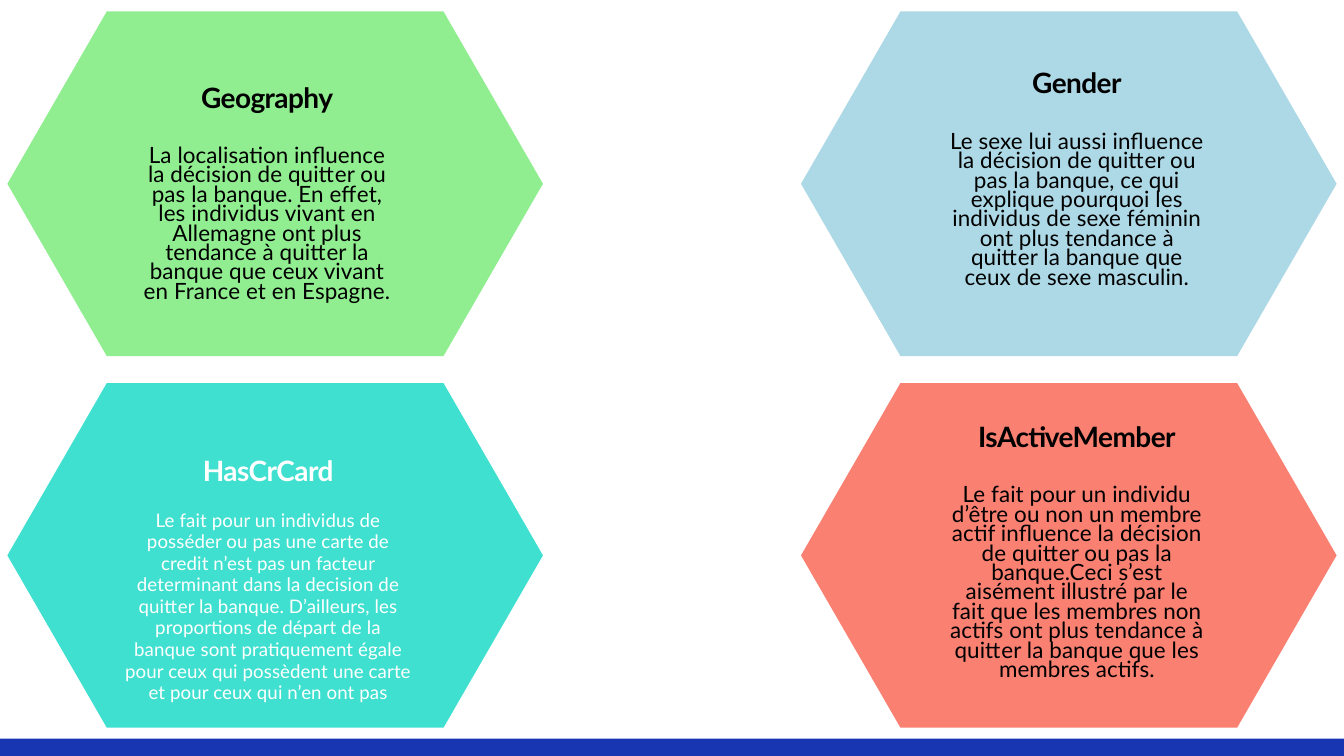
import pptx
import pptx.util
import pptx.dml.color
import pptx.enum.shapes
import pptx.enum.text

RGB = pptx.dml.color.RGBColor
Pt = pptx.util.Pt
Kind = pptx.enum.shapes.MSO_SHAPE

GREEN = RGB(0x90, 0xEE, 0x90)
SKY = RGB(0xAD, 0xD8, 0xE6)
TEAL = RGB(0x40, 0xE0, 0xD0)
SALMON = RGB(0xFA, 0x80, 0x72)
NAVY = RGB(0x18, 0x36, 0xB2)
BLACK = RGB(0, 0, 0)
WHITE = RGB(255, 255, 255)

FONT = "Lato"
PX = 9144  # 100 px to the inch
WIDE, HIGH = 2000, 1125
HEX_W, HEX_H = 797, 513
EDGE, TOP = 11, 17
STEP_X, STEP_Y = 1181, 553
HEAD_H = 53
BAR_H = 26

# fill, ink, text left, text width, heading top, body top, body height,
# body size, body line height, heading, body
CARDS = [
    (GREEN, BLACK, 194, 385, 98, 204, 237, 24, 20.8, "Geography",
     "La localisation influence la décision de quitter ou pas la banque. "
     "En effet, les individus vivant en Allemagne ont plus tendance à "
     "quitter la banque que ceux vivant en France et en Espagne."),
    (SKY, BLACK, 218, 385, 76, 183, 267, 24, 20.8, "Gender",
     "Le sexe lui aussi influence la décision de quitter ou pas la banque, "
     "ce qui explique pourquoi les individus de sexe féminin ont plus "
     "tendance à quitter la banque que ceux de sexe masculin."),
    (TEAL, WHITE, 172, 432, 100, 188, 323, 20, 23.1, "HasCrCard",
     "Le fait pour un individus de posséder ou pas une carte de credit "
     "n’est pas un facteur determinant dans la decision de quitter la "
     "banque. D’ailleurs, les proportions de départ de la banque sont "
     "pratiquement égale pour ceux qui possèdent une carte et pour ceux "
     "qui n’en ont pas"),
    (SALMON, BLACK, 218, 385, 50, 156, 326, 24, 20.8, "IsActiveMember",
     "Le fait pour un individu d’être ou non un membre actif influence la "
     "décision de quitter ou pas la banque.Ceci s’est aisément illustré "
     "par le fait que les membres non actifs ont plus tendance à quitter "
     "la banque que les membres actifs."),
]


def px(*sizes):
    return [pptx.util.Emu(size * PX) for size in sizes]


def add_fill(slide, kind, box, color):
    """Add a plain shape with no outline or shadow."""
    shape = slide.shapes.add_shape(kind, *px(*box))
    shape.shadow.inherit = False
    shape.fill.solid()
    shape.fill.fore_color.rgb = color
    shape.line.fill.background()
    return shape


def add_text(slide, box, text, size, line, ink, track, bold=False):
    """Add centred text; track is letter spacing in hundredths of a point."""
    frame = slide.shapes.add_textbox(*px(*box)).text_frame
    frame.margin_left = frame.margin_right = 0
    frame.margin_top = frame.margin_bottom = 0
    frame.word_wrap = True
    frame.auto_size = pptx.enum.text.MSO_AUTO_SIZE.SHAPE_TO_FIT_TEXT
    frame.text = text
    para = frame.paragraphs[0]
    para.alignment = pptx.enum.text.PP_ALIGN.CENTER
    para.line_spacing = Pt(line)
    font = para.runs[0].font
    font.name = FONT
    font.size = Pt(size)
    font.bold = bold
    font.color.rgb = ink
    para.runs[0].font._element.set("spc", str(track))


def add_card(slide, left, top, card):
    """Place a hexagon with its heading and body at the given corner."""
    fill, ink, x, width, head_y, body_y, body_h, size, line, head, body = card
    shape = add_fill(slide, Kind.HEXAGON, (left, top, HEX_W, HEX_H), fill)
    shape.adjustments[0] = 148 / HEX_H
    add_text(slide, (left + x, top + head_y, width, HEAD_H),
             head, 30, 39, ink, -60, True)
    add_text(slide, (left + x, top + body_y, width, body_h),
             body, size, line, ink, 10)


def main():
    deck = pptx.Presentation()
    deck.slide_width, deck.slide_height = px(WIDE, HIGH)
    slide = deck.slides.add_slide(deck.slide_layouts.get_by_name("Blank"))
    for place, card in enumerate(CARDS):
        row, col = divmod(place, 2)
        add_card(slide, EDGE + col * STEP_X, TOP + row * STEP_Y, card)
    add_fill(slide, Kind.RECTANGLE, (0, HIGH - BAR_H, WIDE, BAR_H), NAVY)
    deck.save("out.pptx")


if __name__ == "__main__":
    main()
